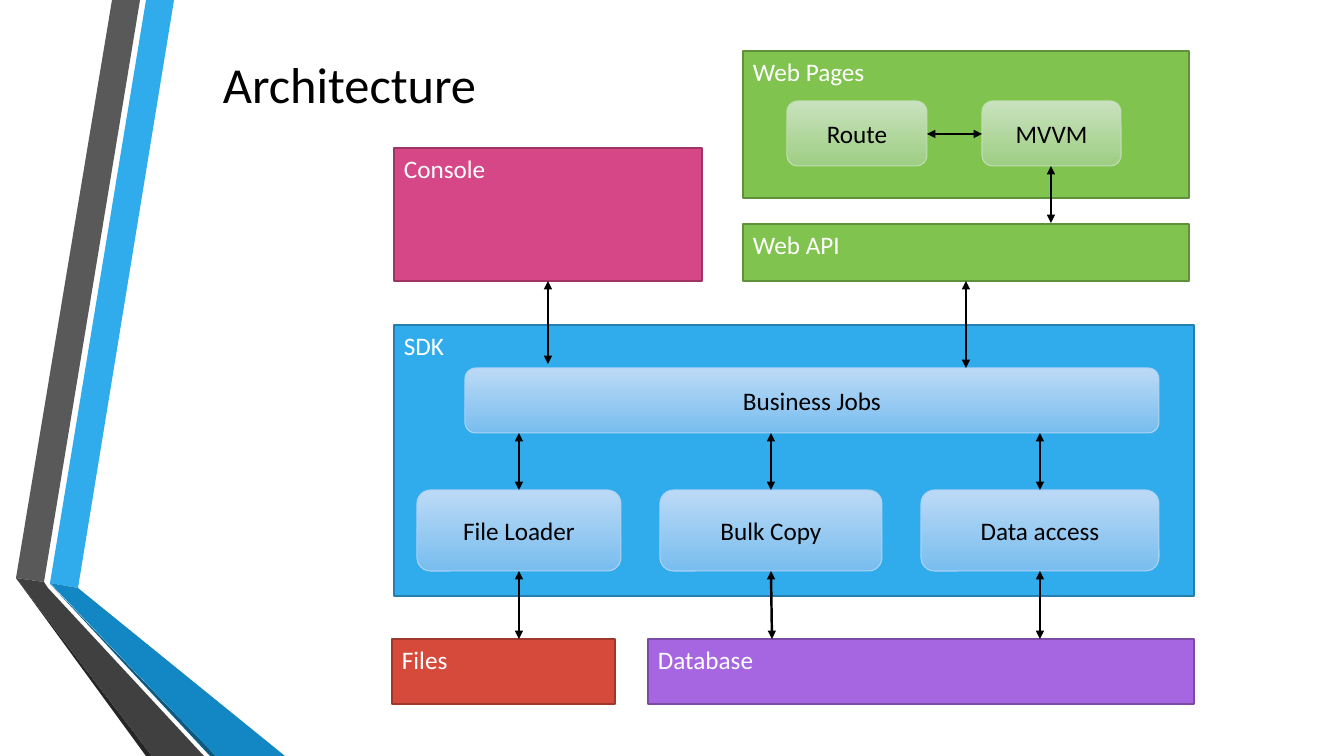
from lxml import etree
from pptx import Presentation
from pptx.dml.color import RGBColor
from pptx.enum.shapes import MSO_CONNECTOR, MSO_SHAPE
from pptx.enum.text import MSO_ANCHOR, PP_ALIGN
from pptx.oxml.ns import qn
from pptx.util import Pt

SCALE = 914400 / 100.8
RECT, ROUNDED = MSO_SHAPE.RECTANGLE, MSO_SHAPE.ROUNDED_RECTANGLE
STRAIGHT = MSO_CONNECTOR.STRAIGHT
TOP, MIDDLE = MSO_ANCHOR.TOP, MSO_ANCHOR.MIDDLE
LEFT, CENTER = PP_ALIGN.LEFT, PP_ALIGN.CENTER

COLORS = {
    "black": "000000", "white": "FFFFFF",
    "blue": "30ACEC", "blue edge": "247FAF",
    "green": "80C34F", "green edge": "5F903A",
    "pink": "D64787", "pink edge": "9E3564",
    "red": "D64A3B", "red edge": "9E372C",
    "purple": "A666E1", "purple edge": "7B4BA6",
    "sky top": "BCDAF6", "sky bottom": "78BDEF", "sky edge": "AED2F4",
    "leaf top": "C9E2BE", "leaf bottom": "9ECE83", "leaf edge": "C0DEB3",
    "gray": "595959", "dark gray": "404040", "shadow gray": "262626",
    "deep blue": "1287C3", "shadow blue": "0C5A82",
}


def px(length):
    """Turn pixels into EMU."""
    return round(length * SCALE)


def color(name):
    """Look up a named colour."""
    return RGBColor.from_string(COLORS[name])


def apply(target, values):
    """Set each attribute in a dict of format values."""
    for name, value in values.items():
        setattr(target, name, value)


class Diagram:
    """Holds the text style and the current slide."""

    font = "Calibri"

    def __init__(self, page):
        self.page = page

    def add_label(self, shape, text, ink, size=18, anchor=MIDDLE, align=LEFT):
        """Put one line of text in a shape."""
        apply(shape.text_frame, {"word_wrap": True, "vertical_anchor": anchor})
        para = shape.text_frame.paragraphs[0]
        para.alignment = align
        span = para.add_run()
        span.text = text
        apply(span.font, {"name": self.font, "size": Pt(size)})
        span.font.color.rgb = color(ink)

    def title(self, text, *place):
        """Add the slide title."""
        box = self.page.shapes.add_textbox(*map(px, place))
        self.add_label(box, text, "black", 36)

    def ribbon(self, fill, points):
        """Add a filled outline without a border."""
        builder = self.page.shapes.build_freeform(*points[0], scale=SCALE)
        builder.add_line_segments(points[1:], close=True)
        shape = builder.convert_to_shape()
        shape.shadow.inherit = False
        shape.fill.solid()
        shape.fill.fore_color.rgb = color(fill)
        shape.line.fill.background()

    def outlined(self, kind, place, edge, width):
        """Add a preset shape with a coloured border."""
        shape = self.page.shapes.add_shape(kind, *map(px, place))
        shape.shadow.inherit = False
        shape.line.color.rgb = color(edge)
        shape.line.width = Pt(width)
        return shape

    def layer(self, text, hue, *place):
        """Add a flat block labelled at its top left."""
        shape = self.outlined(RECT, place, hue + " edge", 1.25)
        shape.fill.solid()
        shape.fill.fore_color.rgb = color(hue)
        self.add_label(shape, text, "white", anchor=TOP)

    def module(self, text, hue, *place):
        """Add a rounded gradient block with a centred label."""
        shape = self.outlined(ROUNDED, place, hue + " edge", 0.75)
        shape.fill.gradient()
        shape.fill.gradient_angle = 270
        for stop, end, position in zip(shape.fill.gradient_stops, (" top", " bottom"), (0, 1)):
            stop.color.rgb = color(hue + end)
            stop.position = position
        self.add_label(shape, text, "black", align=CENTER)

    def arrow(self, *ends):
        """Add a line with an arrowhead at both ends."""
        link = self.page.shapes.add_connector(STRAIGHT, *map(px, ends))
        link.line.color.rgb = color("black")
        link.line.width = Pt(1.75)
        properties = link._element.spPr
        outline = properties.get_or_add_ln()
        for end in ("a:headEnd", "a:tailEnd"):
            etree.SubElement(outline, qn(end), type="triangle")
        etree.SubElement(properties, qn("a:effectLst"))


RIBBONS = [
    ("blue", [(50, 583), (78, 588), (174, 0), (146, 0)]),
    ("gray", [(140, 0), (112, 0), (16, 578), (44, 582)]),
    ("shadow gray", [(16, 578), (146, 756), (152, 756)]),
    ("shadow blue", [(50, 584), (210, 756), (216, 756)]),
    ("deep blue", [(50, 583), (216, 756), (285, 756), (78, 588)]),
    ("dark gray", [(16, 578), (152, 756), (204, 756), (48, 588), (44, 582)]),
]
LAYERS = [
    ("SDK", "blue", 394, 325, 800, 271),
    ("Web API", "green", 743, 224, 446, 57),
    ("Web Pages", "green", 743, 51, 446, 147),
    ("Console", "pink", 394, 148, 308, 133),
    ("Files", "red", 392, 639, 223, 65),
    ("Database", "purple", 648, 639, 546, 65),
]
JOBS_TOP, JOBS_BOTTOM = 368, 433
ACCESS_TOP, ACCESS_BOTTOM, STORE_TOP = 490, 571, 639
# label, left, width, arrow x above, arrow x at the store
ACCESS = [
    ("File Loader", 417, 204, 519, 519),
    ("Bulk Copy", 660, 222, 771, 772),
    ("Data access", 921, 238, 1040, 1040),
]

deck = Presentation()
apply(deck, {"slide_width": px(1344), "slide_height": px(756)})
diagram = Diagram(deck.slides.add_slide(deck.slide_layouts[6]))

for ribbon in RIBBONS:
    diagram.ribbon(*ribbon)
for layer in LAYERS:
    diagram.layer(*layer)
diagram.module("Business Jobs", "sky", 465, JOBS_TOP, 694, JOBS_BOTTOM - JOBS_TOP)
for label, left, width, middle, store in ACCESS:
    diagram.module(label, "sky", left, ACCESS_TOP, width, ACCESS_BOTTOM - ACCESS_TOP)
    diagram.arrow(middle, ACCESS_TOP, middle, JOBS_BOTTOM)
    diagram.arrow(store, STORE_TOP, middle, ACCESS_BOTTOM)
diagram.module("MVVM", "leaf", 982, 101, 139, 65)
diagram.module("Route", "leaf", 787, 101, 140, 65)
diagram.arrow(982, 134, 927, 134)
diagram.arrow(1051, 166, 1051, 223)
diagram.arrow(548, 281, 548, 364)
diagram.arrow(966, 281, 966, JOBS_TOP)
diagram.title("Architecture", 213, 51, 507, 64)

deck.save("out.pptx")
